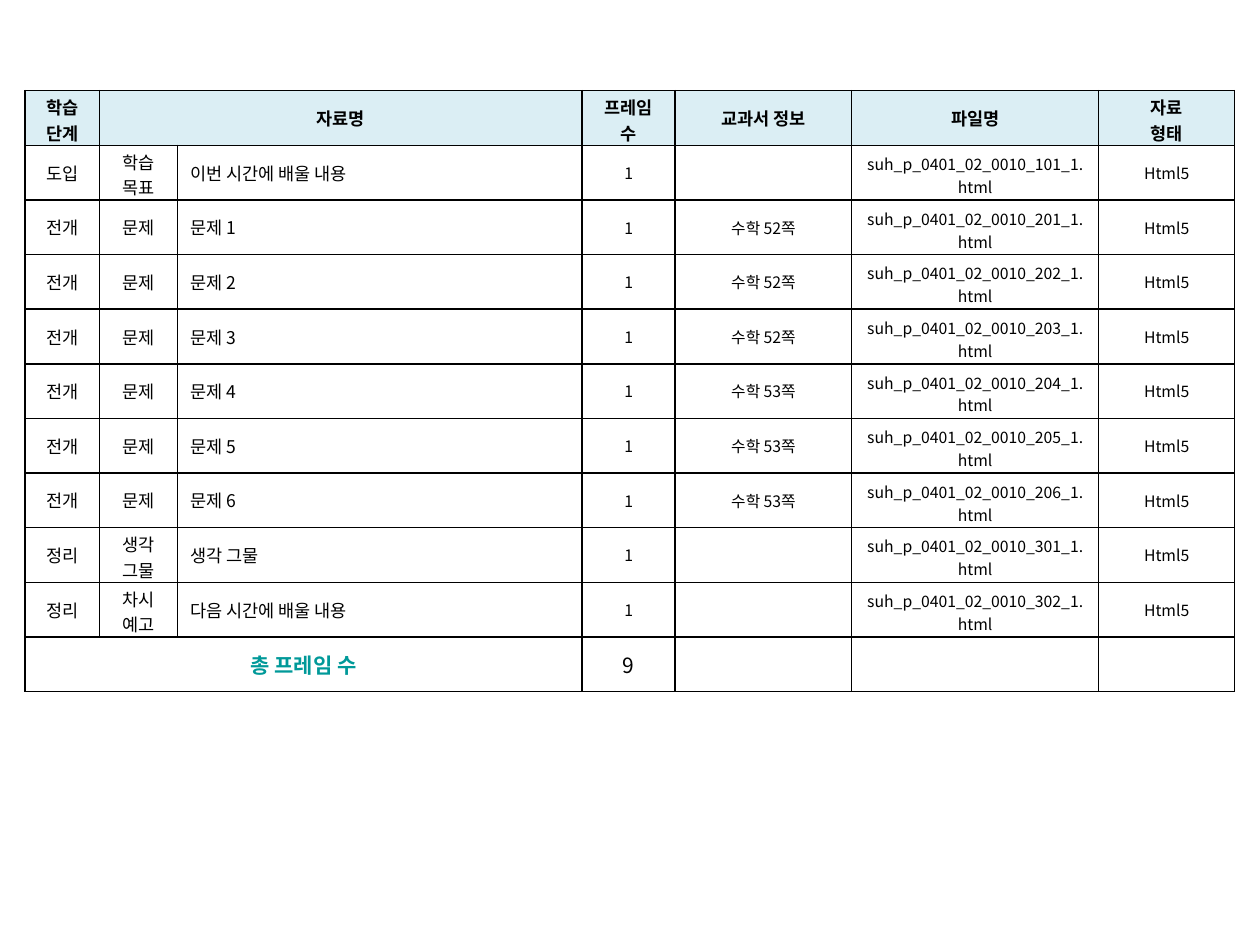
from pptx import Presentation
from pptx.dml.color import RGBColor
from pptx.enum.text import MSO_ANCHOR as Anchor, PP_ALIGN as Align
from pptx.oxml.ns import qn
from pptx.util import Inches, Pt
from lxml.etree import SubElement as Sub

FONT = "Noto Sans CJK KR"
HEAD = ["학습 단계", "자료명", "", "프레임 수", "교과서 정보", "파일명", "자료\n형태"]
ITEMS = [
    ("도입", "학습\n목표", "이번 시간에 배울 내용", "", 101),
    *[("전개", "문제", f"문제 {n}", f"수학 {52 if n < 4 else 53}쪽", 200 + n)
      for n in range(1, 7)],
    ("정리", "생각\n그물", "생각 그물", "", 301),
    ("정리", "차시 예고", "다음 시간에 배울 내용", "", 302),
]
TOTAL = ["총 프레임 수", "", "", str(len(ITEMS)), "", "", ""]
COLS = [0.59, 0.62, 3.21, 0.74, 1.4, 1.96, 1.08]
LEFT, TOP, HIGH = 0.2, 0.72, 4.77


def color(code):
    return RGBColor.from_string(code)


def border(cell):
    props = cell._tc.get_or_add_tcPr()
    for n, side in enumerate(("lnL", "lnR", "lnT", "lnB")):
        line = props.makeelement(qn(f"a:{side}"), {"w": str(Pt(1))})
        fill = Sub(line, qn("a:solidFill"))
        Sub(fill, qn("a:srgbClr"), val="000000")
        props.insert(n, line)


def inset(cell, text, size, wide):
    if text.endswith(".html"):
        top, low = 0.05, 0.01
    elif size == 10 and wide < 1.1 and len(text) > 4:
        top, low = 0.03, 0
    else:
        top, low = 0.05, 0.05
    cell.margin_top, cell.margin_bottom = Inches(top), Inches(low)


def write(cell, text, size, bold=False, ink="000000", align=Align.CENTER):
    cell.vertical_anchor = Anchor.MIDDLE
    frame = cell.text_frame
    for n, part in enumerate(text.split("\n")):
        para = frame.add_paragraph() if n else frame.paragraphs[0]
        para.alignment = align
        if not part:
            Sub(para._p, qn("a:endParaRPr"), sz=str(size * 100))
            continue
        run = para.add_run()
        run.text = part
        font = run.font
        font.name, font.size, font.bold = FONT, Pt(size), bold
        font.color.rgb = color(ink)
        Sub(font._element, qn("a:ea"), typeface=FONT)


def main():
    """Build the lesson file list slide."""
    deck = Presentation()
    deck.slide_width, deck.slide_height = Inches(10), Inches(7.5)
    slide = deck.slides.add_slide(deck.slide_layouts[6])
    body = [[step, kind, name, "1", book, f"suh_p_0401_02_0010_{code}_1.html", "Html5"]
            for step, kind, name, book, code in ITEMS]
    rows = [HEAD, *body, TOTAL]
    last = len(rows) - 1
    table = slide.shapes.add_table(
        len(rows), len(COLS), Inches(LEFT), Inches(TOP),
        Inches(sum(COLS)), Inches(HIGH)).table
    table.first_row = table.horz_banding = False
    for col, wide in zip(table.columns, COLS):
        col.width = Inches(wide)
    table.cell(0, 1).merge(table.cell(0, 2))
    table.cell(last, 0).merge(table.cell(last, 2))

    for r, row in enumerate(rows):
        for c, text in enumerate(row):
            cell = table.cell(r, c)
            size = 12 if r == last else 10 if r == 0 or c < 3 else 9
            total = r == last and c == 0
            side = Align.LEFT if 0 < r < last and c == 2 else Align.CENTER
            if r == 0:
                cell.fill.solid()
                cell.fill.fore_color.rgb = color("DBEEF4")
            else:
                cell.fill.background()
            write(cell, text, size, r == 0 or total,
                  "009999" if total else "000000", side)
            inset(cell, text, size, COLS[c])
            border(cell)
    deck.save("out.pptx")


if __name__ == "__main__":
    main()
